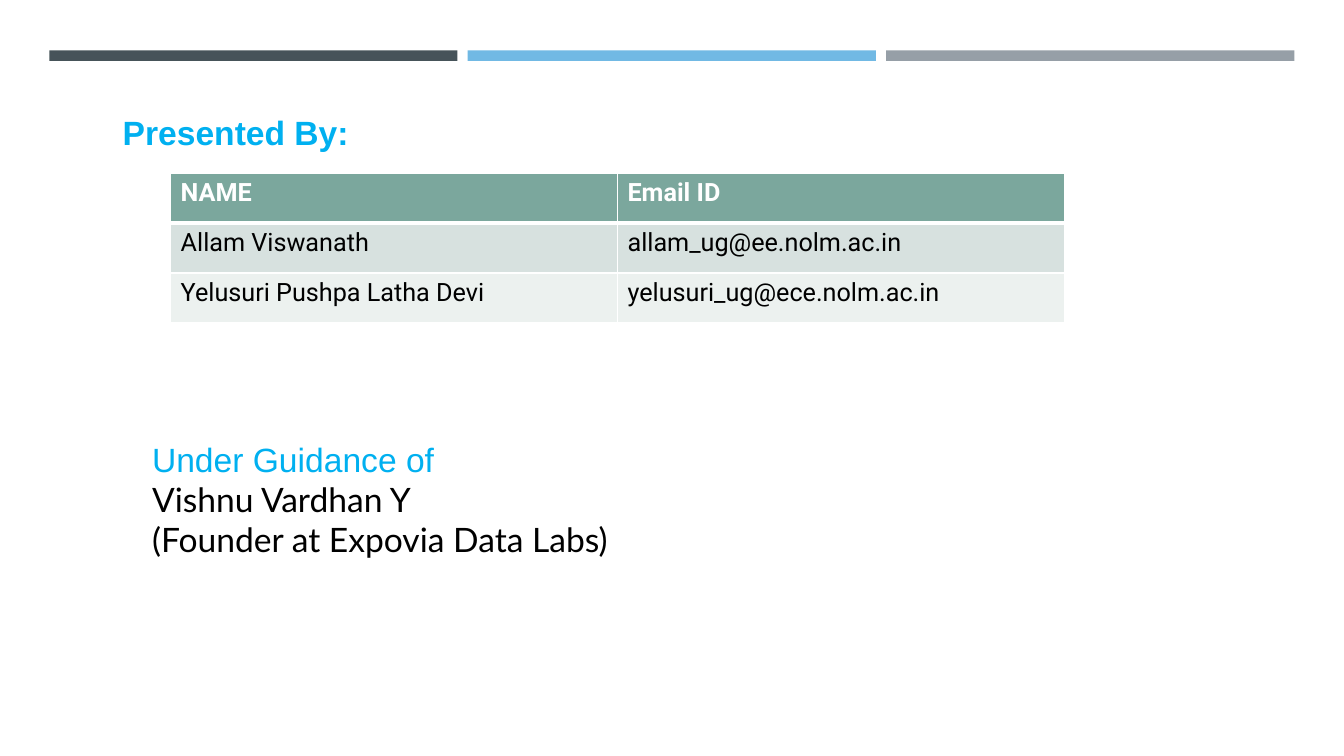
from lxml import etree
from pptx import Presentation
from pptx.dml.color import RGBColor
from pptx.enum import shapes, text
from pptx.oxml import ns
from pptx.util import Pt


def style_run(r, color, **formats):
    r.font.color.rgb = RGBColor.from_string(color)
    for name, value in formats.items():
        setattr(r.font, name, value)


def add_border(cell, index, side, width):
    """Put a white line on one side of a cell, ahead of its fill."""
    ln = etree.Element(ns.qn(f"a:ln{side}"), w=str(Pt(width)))
    fill = etree.SubElement(ln, ns.qn("a:solidFill"))
    etree.SubElement(fill, ns.qn("a:srgbClr"), val="FFFFFF")
    cell._tc.get_or_add_tcPr().insert(index, ln)


prs = Presentation()
prs.slide_width, prs.slide_height = Pt(960), Pt(540)
s = prs.slides.add_slide(prs.slide_layouts[6])

# Bars across the top
for i, color in enumerate(["465359", "71B9E4", "969FA7"]):
    bar = s.shapes.add_shape(shapes.MSO_SHAPE.RECTANGLE,
                             Pt(35.2 + 298.9 * i), Pt(36), Pt(291.6), Pt(7.5))
    bar.shadow.inherit = False
    bar.fill.solid()
    bar.fill.fore_color.rgb = RGBColor.from_string(color)
    bar.line.fill.background()

# Headings and guide
BLUE, BLACK = "00B0F0", "000000"
text_boxes = [
    ((80.6, 76.3, 510.5, 36), True,
     [("Presented By:", "Arial", BLUE, True)]),
    ((101.5, 309.6, 360.7, 94.3), False,
     [("Under Guidance of", "Arial", BLUE, False),
      ("Vishnu Vardhan Y", "Lato", BLACK, False),
      ("(Founder at Expovia Data Labs)", "Lato", BLACK, False)]),
]
for place, wrap, lines in text_boxes:
    tf = s.shapes.add_textbox(*map(Pt, place)).text_frame
    tf.word_wrap = wrap
    tf.auto_size = text.MSO_AUTO_SIZE.SHAPE_TO_FIT_TEXT
    for i, (line, font, color, bold) in enumerate(lines):
        p = tf.add_paragraph() if i else tf.paragraphs[0]
        r = p.add_run()
        r.text = line
        style_run(r, color, name=font, size=Pt(24), bold=bold)

# Presenters
presenters = [
    ("NAME", "Email ID"),
    ("Allam Viswanath", "allam_ug@ee.nolm.ac.in"),
    ("Yelusuri Pushpa Latha Devi", "yelusuri_ug@ece.nolm.ac.in"),
]
row_fills = ["7BA79D", "D7E1DF", "ECF1EF"]
table = s.shapes.add_table(3, 2, Pt(121.9), Pt(124), Pt(638.4), Pt(106.5)).table
for row, (values, row_fill) in enumerate(zip(presenters, row_fills)):
    header = row == 0
    table.rows[row].height = Pt(35.5)
    for col, value in enumerate(values):
        cell = table.cell(row, col)
        cell.fill.solid()
        cell.fill.fore_color.rgb = RGBColor.from_string(row_fill)
        r = cell.text_frame.paragraphs[0].add_run()
        r.text = value
        style_run(r, "FFFFFF" if header else BLACK,
                  name="Roboto", size=Pt(18), bold=header)
        widths = {"L": 1, "R": 1, "T": 3 if row == 1 else 1, "B": 3 if header else 1}
        for i, (side, width) in enumerate(widths.items()):
            add_border(cell, i, side, width)

prs.save("out.pptx")
